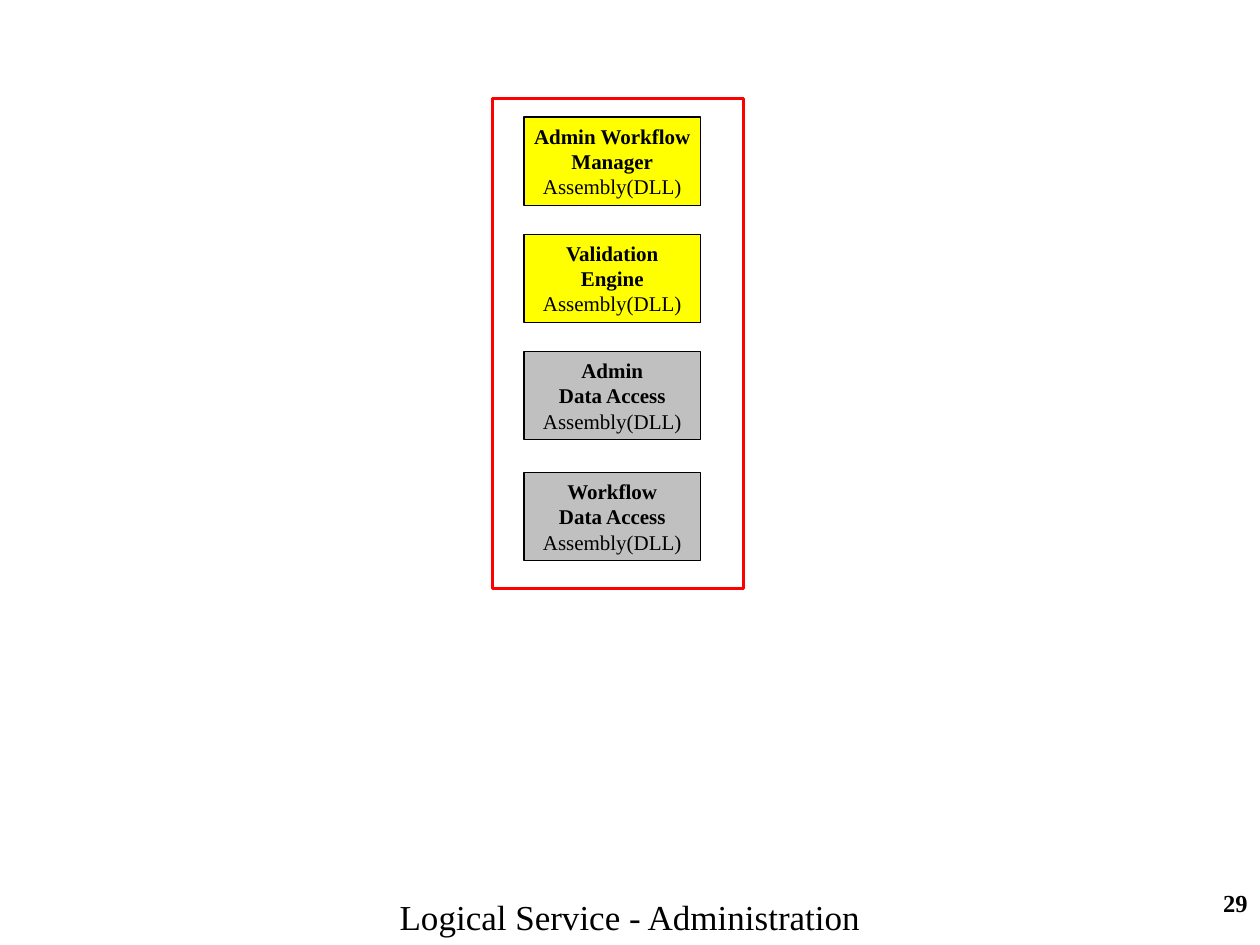
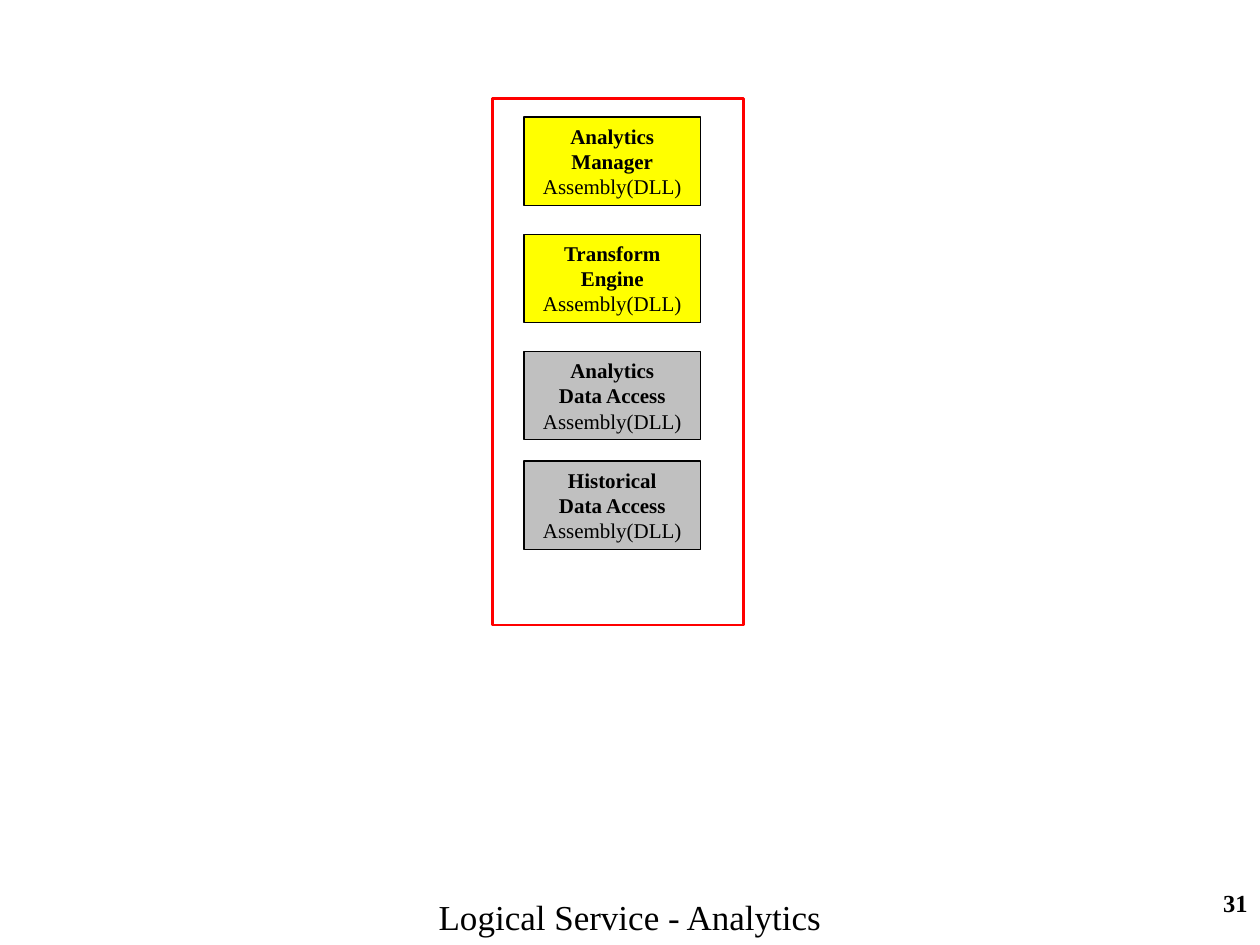
from pptx import Presentation
from pptx import util as u
from pptx.dml import color
from pptx.enum import shapes, text

COLORS = {"ink": "000000", "frame": "FF0000", "logic": "FFFF00", "data": "C0C0C0"}
FONT = "Times New Roman"
BOX_LEFT, BOX_TOP, BOX_WIDTH, BOX_HEIGHT, BOX_STEP = 4.16, 0.93, 1.4, 0.7, 0.93

SERVICES = [
    {
        "title": "Logical Service - Administration", "title_width": 3.88,
        "page": 29, "frame_height": 3.89, "last_top": 3.75,
        "assemblies": [
            ("Admin Workflow", "Manager", "logic"),
            ("Validation", "Engine", "logic"),
            ("Admin", "Data Access", "data"),
            ("Workflow", "Data Access", "data"),
        ],
    },
    {
        "title": "Logical Service - Analytics", "title_width": 3.26,
        "page": 31, "frame_height": 4.18, "last_top": 3.66,
        "assemblies": [
            ("Analytics", "Manager", "logic"),
            ("Transform", "Engine", "logic"),
            ("Analytics", "Data Access", "data"),
            ("Historical", "Data Access", "data"),
        ],
    },
]


class Deck:
    """Holds the shared style and the current slide."""

    def __init__(self):
        self.prs = Presentation()
        self.prs.slide_width, self.prs.slide_height = u.Inches(10), u.Inches(7.5)
        self.s = None

    def rgb(self, name):
        return color.RGBColor.from_string(COLORS[name])

    def style(self, p, size, bold=False, align=text.PP_ALIGN.CENTER):
        p.alignment = align
        p.font.name, p.font.size, p.font.bold = FONT, u.Pt(size), bold
        p.font.color.rgb = self.rgb("ink")

    def slide(self, title, width):
        self.s = self.prs.slides.add_slide(self.prs.slide_layouts[5])
        sp = self.s.shapes.title
        sp.left, sp.top = u.Inches(5 - width / 2), u.Inches(7.06)
        sp.width, sp.height = u.Inches(width), u.Inches(0.44)
        tf = sp.text_frame
        tf.text = title
        tf.word_wrap = False
        tf.auto_size = text.MSO_AUTO_SIZE.SHAPE_TO_FIT_TEXT
        tf.vertical_anchor = text.MSO_ANCHOR.TOP
        self.style(tf.paragraphs[0], 20)

    def page_number(self, number):
        sp = self.s.shapes.add_textbox(u.Inches(7.92), u.Inches(7), u.Inches(2.08), u.Inches(0.5))
        tf = sp.text_frame
        tf.word_wrap = True
        tf.text = str(number)
        self.style(tf.paragraphs[0], 14, True, text.PP_ALIGN.RIGHT)

    def rect(self, left, top, width, height, line, weight, fill=None):
        sp = self.s.shapes.add_shape(
            shapes.MSO_SHAPE.RECTANGLE,
            u.Inches(left), u.Inches(top), u.Inches(width), u.Inches(height))
        sp.shadow.inherit = False
        sp.line.color.rgb = self.rgb(line)
        sp.line.width = u.Pt(weight)
        if fill:
            sp.fill.solid()
            sp.fill.fore_color.rgb = self.rgb(fill)
        else:
            sp.fill.background()
        return sp

    def assembly(self, top, name, role, fill):
        sp = self.rect(BOX_LEFT, top, BOX_WIDTH, BOX_HEIGHT, "ink", 0.75, fill)
        tf = sp.text_frame
        tf.word_wrap = False
        tf.vertical_anchor = text.MSO_ANCHOR.MIDDLE
        tf.text = f"{name}\n{role}\nAssembly(DLL)"
        for i, p in enumerate(tf.paragraphs):
            self.style(p, 12, bold=i < 2)


def main():
    deck = Deck()
    for service in SERVICES:
        deck.slide(service["title"], service["title_width"])
        deck.page_number(service["page"])
        deck.rect(3.91, 0.78, 1.99, service["frame_height"], "frame", 1.5)
        tops = [BOX_TOP + i * BOX_STEP for i in range(3)] + [service["last_top"]]
        for top, (name, role, fill) in zip(tops, service["assemblies"]):
            deck.assembly(top, name, role, fill)
    deck.prs.save("out.pptx")


if __name__ == "__main__":
    main()
